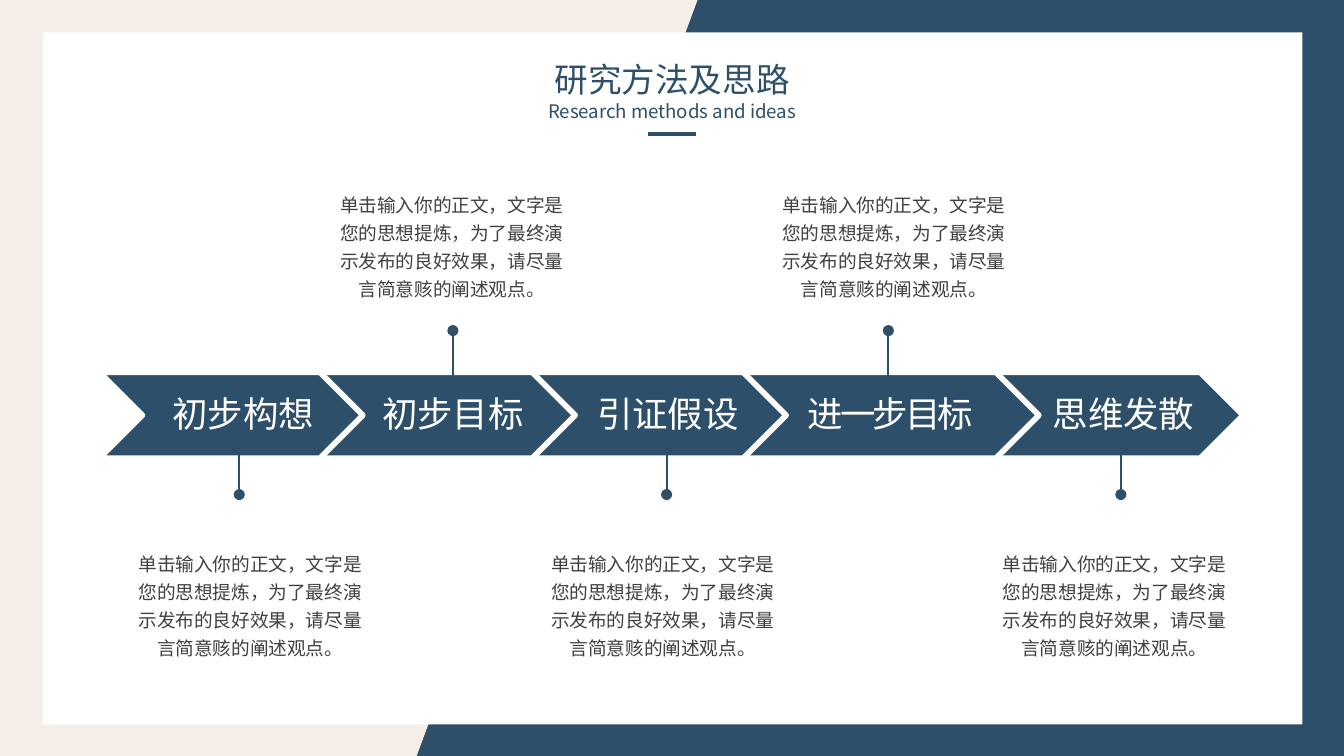
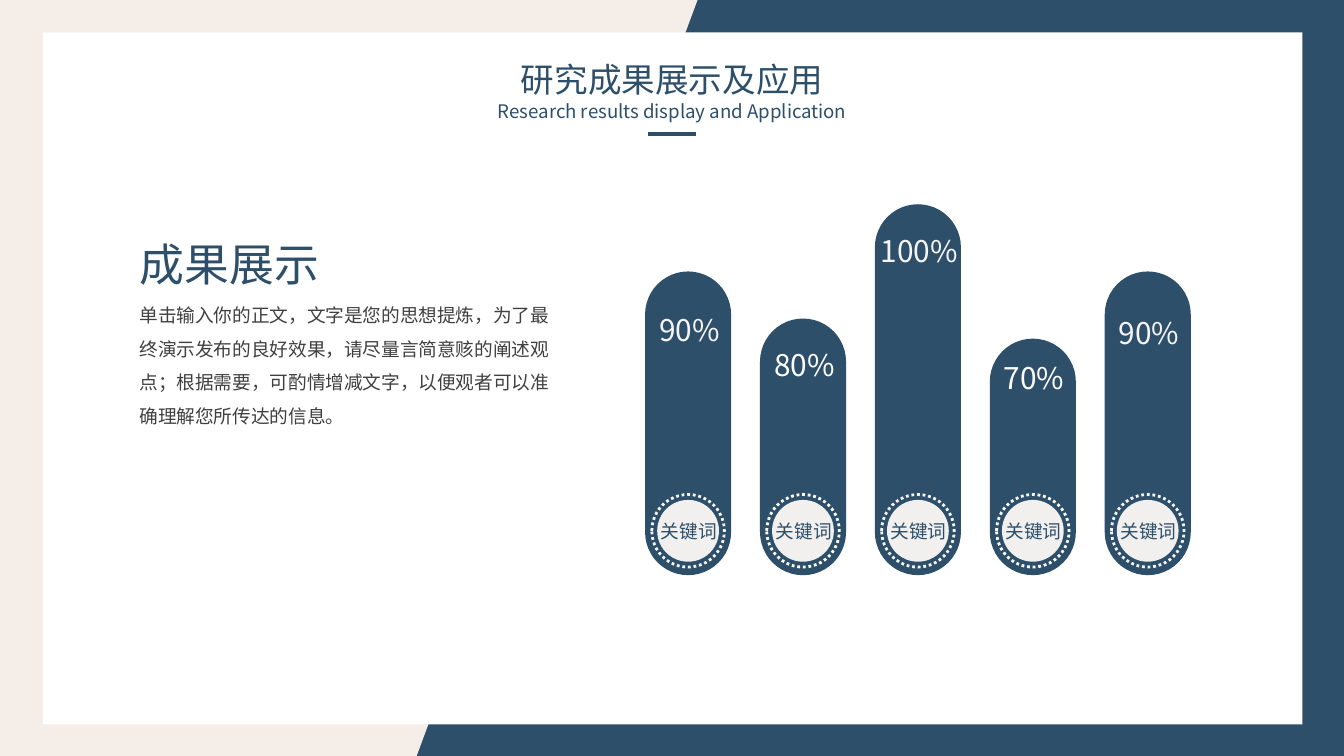
from dataclasses import dataclass

from lxml import etree
from pptx import Presentation
from pptx.dml.color import RGBColor
from pptx.enum.dml import MSO_LINE
from pptx.enum.shapes import MSO_CONNECTOR, MSO_SHAPE
from pptx.enum.text import MSO_ANCHOR, PP_ALIGN
from pptx.oxml.ns import qn
from pptx.util import Inches, Pt


@dataclass(frozen=True)
class Theme:
    navy: str = "2D4F6A"
    cream: str = "F5EDE7"
    page: str = "F7F7F7"
    white: str = "FFFFFF"
    pale: str = "F6F4F7"
    disc: str = "F1F0EE"
    ink: str = "404040"
    font: str = "Noto Sans CJK JP"
    font_sc: str = "Noto Sans CJK SC"
    title: int = 18
    step: int = 19
    heading: int = 24
    value: int = 16
    body: int = 10


T = Theme()
W = 10
H = W * 9 / 16
CHEVRON_H = 0.64
NOTE_W, NOTE_H = 1.92, 0.94
BAR_W, BARS_SPAN = 0.64, 3.42
DISC, RING = 0.46, 0.54

NOTE = "单击输入你的正文，文字是您的思想提炼，为了最终演示发布的良好效果，请尽量言简意赅的阐述观点。"
SUMMARY = (
    "单击输入你的正文，文字是您的思想提炼，为了最终演示发布的良好效果，"
    "请尽量言简意赅的阐述观点；根据需要，可酌情增减文字，以便观者可以准确理解您所传达的信息。"
)


@dataclass(frozen=True)
class Step:
    label: str
    left: float
    label_left: float
    pin: float
    note_left: float
    width: float = 1.96
    label_width: float = 1.44
    spacing: float = 0
    above: bool = False


STEPS = [
    Step("初步构想", 0, 0.35, 1.04, 0.16),
    Step("初步目标", 1.58, 1.91, 2.63, 1.66, above=True),
    Step("引证假设", 3.15, 3.51, 4.22, 3.23),
    Step("进一步目标", 4.67, 5.01, 5.87, 4.95, 2.32, 1.75, -1.5, above=True),
    Step("思维发散", 6.55, 6.9, 7.6, 6.59),
]

BARS = [
    ("90%", 2.26, 0.25, T.pale),
    ("80%", 1.91, 0.16, T.white),
    ("100%", 2.76, 0.16, T.pale),
    ("70%", 1.76, 0.11, T.white),
    ("90%", 2.26, 0.27, T.pale),
]


def rgb(color):
    return RGBColor.from_string(color)


def paint(sp, fill=None, line=None, width=1, dash=None):
    sp.shadow.inherit = False
    if fill:
        sp.fill.solid()
        sp.fill.fore_color.rgb = rgb(fill)
    else:
        sp.fill.background()
    if line:
        sp.line.color.rgb = rgb(line)
        sp.line.width = Pt(width)
        if dash:
            sp.line.dash_style = dash
    else:
        sp.line.fill.background()
    return sp


def add_shape(s, kind, x, y, w, h, **style):
    sp = s.shapes.add_shape(kind, Inches(x), Inches(y), Inches(w), Inches(h))
    return paint(sp, **style)


def add_line(s, x1, y1, x2, y2, width=1, tail=None):
    cx = s.shapes.add_connector(
        MSO_CONNECTOR.STRAIGHT, Inches(x1), Inches(y1), Inches(x2), Inches(y2)
    )
    cx.line.color.rgb = rgb(T.navy)
    cx.line.width = Pt(width)
    if tail:
        ln = cx._element.spPr.find(qn("a:ln"))
        etree.SubElement(ln, qn("a:tailEnd"), type=tail)
    etree.SubElement(cx._element.spPr, qn("a:effectLst"))


def add_text(s, x, y, w, h, *lines, sizes=(T.body,), color=T.navy, font=T.font,
             align=PP_ALIGN.CENTER, leading=None, spacing=0, wrap=True,
             inset=True, anchor=MSO_ANCHOR.TOP):
    tf = s.shapes.add_textbox(Inches(x), Inches(y), Inches(w), Inches(h)).text_frame
    tf.word_wrap = wrap
    tf.vertical_anchor = anchor
    if not inset:
        tf.margin_left = tf.margin_right = tf.margin_top = tf.margin_bottom = 0
    for i, (line, size) in enumerate(zip(lines, sizes)):
        p = tf.add_paragraph() if i else tf.paragraphs[0]
        p.alignment = align
        if leading:
            p.line_spacing = Pt(leading)
        r = p.add_run()
        r.text = line
        r.font.size = Pt(size)
        r.font.name = font
        r.font.color.rgb = rgb(color)
        rPr = r.font._element
        etree.SubElement(rPr, qn("a:ea"), typeface=font)
        if spacing:
            rPr.set("spc", str(int(spacing * 100)))


def draw_frame(s):
    s.background.fill.solid()
    s.background.fill.fore_color.rgb = rgb(T.page)
    add_shape(s, MSO_SHAPE.RECTANGLE, 0, 0, W, H, fill=T.navy)
    fb = s.shapes.build_freeform(0, 0)
    fb.add_line_segments(
        [(Inches(x), Inches(y)) for x, y in [(5.19, 0), (3.1, H), (0, H)]]
    )
    paint(fb.convert_to_shape(), fill=T.cream)
    add_shape(s, MSO_SHAPE.RECTANGLE, 0.32, 0.24, 9.37, 5.15, fill=T.white)
    add_line(s, 4.82, 1, 5.18, 1, width=2.25)


def draw_title(s, title, subtitle, width, font=T.font):
    add_text(s, (W - width) / 2, 0.39, width, 0.58, title, subtitle,
             sizes=(T.title, T.body), font=font)


def draw_process(s, x, y):
    for step in reversed(STEPS):
        add_shape(s, MSO_SHAPE.CHEVRON, x + step.left, y, step.width, CHEVRON_H,
                  fill=T.navy, line=T.white, width=3)
    for step in STEPS:
        add_text(s, x + step.label_left, y + 0.1, step.label_width, 0.42, step.label,
                 sizes=(T.step,), color=T.white, spacing=step.spacing)
        start, end, note = (0.09, -0.31, -1.42) if step.above else (0.56, 0.91, 1.25)
        add_line(s, x + step.pin, y + start, x + step.pin, y + end, tail="oval")
        add_text(s, x + step.note_left, y + note, NOTE_W, NOTE_H, NOTE,
                 color=T.ink, leading=15)


def draw_summary(s, x, y):
    add_text(s, x, y + 0.37, 3.31, 1.11, SUMMARY, color=T.ink,
             align=PP_ALIGN.LEFT, leading=18)
    add_text(s, x + 0.1, y, 2.04, 0.4, "成果展示", sizes=(T.heading,),
             align=PP_ALIGN.LEFT, inset=False)


def draw_bar(s, x, bottom, value, height, drop, color):
    top = bottom - height
    bar = add_shape(s, MSO_SHAPE.ROUNDED_RECTANGLE, x, top, BAR_W, height, fill=T.navy)
    bar.adjustments[0] = 0.5
    mid_x, mid_y = x + BAR_W / 2, bottom - 0.33
    for size, style in (
        (DISC, dict(fill=T.disc)),
        (RING, dict(line=color, width=1.5, dash=MSO_LINE.ROUND_DOT)),
    ):
        add_shape(s, MSO_SHAPE.OVAL, mid_x - size / 2, mid_y - size / 2, size, size, **style)
    add_text(s, x + 0.1, bottom - 0.41, 0.45, 0.17, "关键词",
             inset=False, anchor=MSO_ANCHOR.MIDDLE)
    width = 0.8 if len(value) > 3 else 0.66
    add_text(s, mid_x + 0.01 - width / 2, top + drop, width, 0.37, value,
             sizes=(T.value,), color=color, wrap=False)


def draw_bars(s, x, bottom):
    pitch = BARS_SPAN / (len(BARS) - 1)
    for i, bar in enumerate(BARS):
        draw_bar(s, x + i * pitch, bottom, *bar)


def add_slide(prs):
    s = prs.slides.add_slide(prs.slide_layouts[6])
    draw_frame(s)
    return s


def methods_slide(prs):
    s = add_slide(prs)
    draw_title(s, "研究方法及思路", "Research methods and ideas", 2.15)
    draw_process(s, 0.74, 2.77)


def results_slide(prs):
    s = add_slide(prs)
    draw_title(s, "研究成果展示及应用", "Research results display and Application",
               3.25, font=T.font_sc)
    draw_summary(s, 0.94, 1.76)
    draw_bars(s, 4.8, 4.28)


def main():
    prs = Presentation()
    prs.slide_width, prs.slide_height = Inches(W), Inches(H)
    methods_slide(prs)
    results_slide(prs)
    prs.save("out.pptx")


if __name__ == "__main__":
    main()
